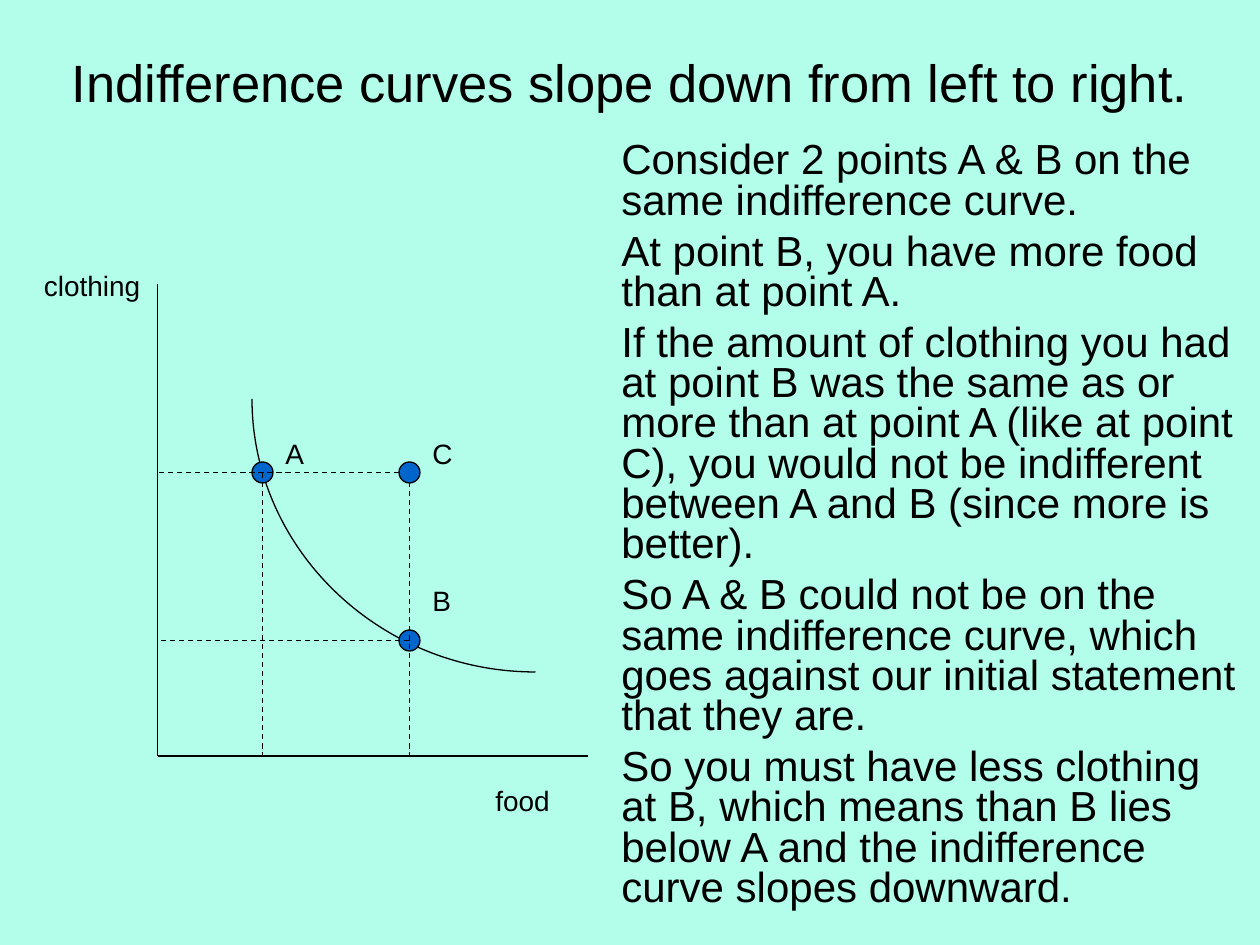
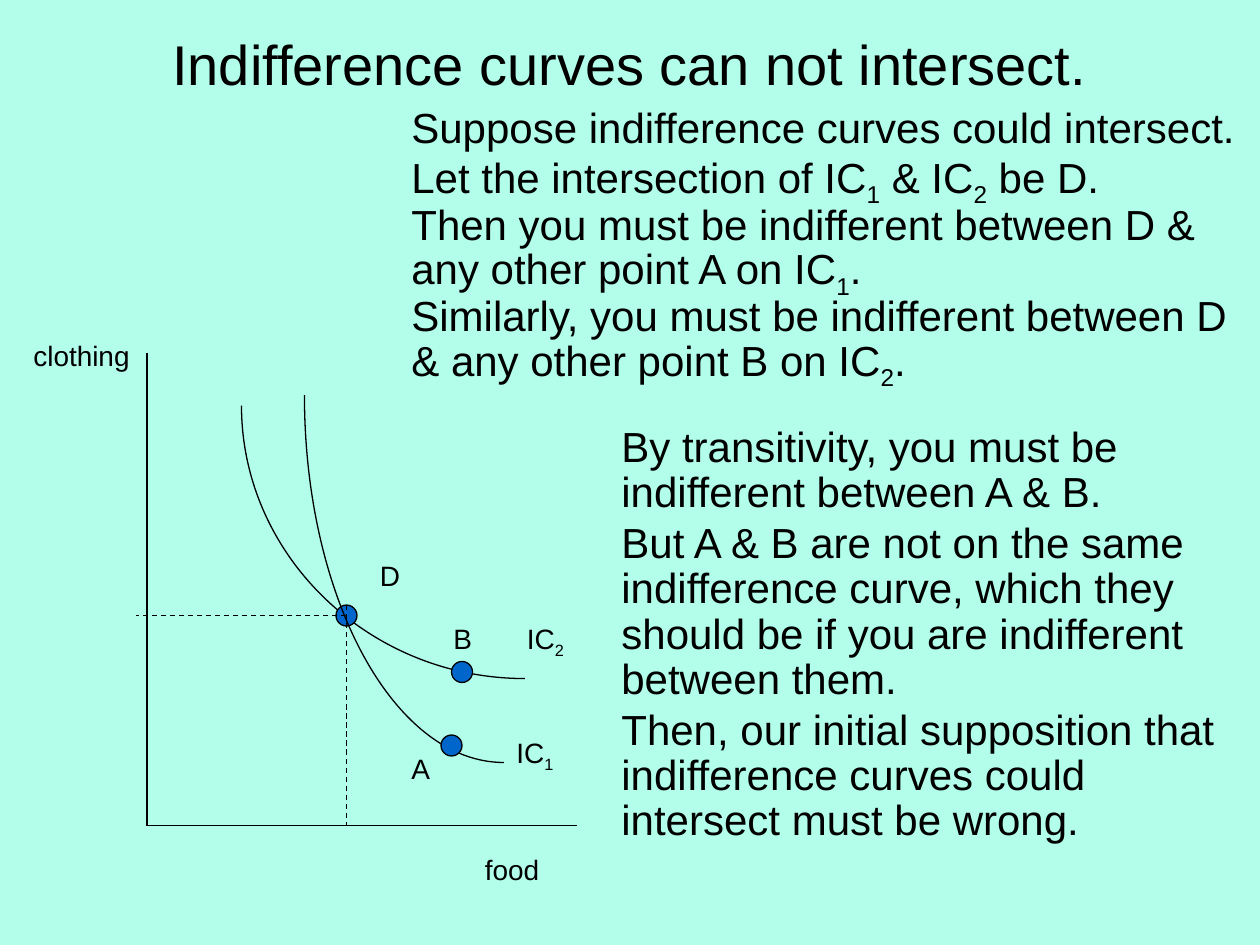
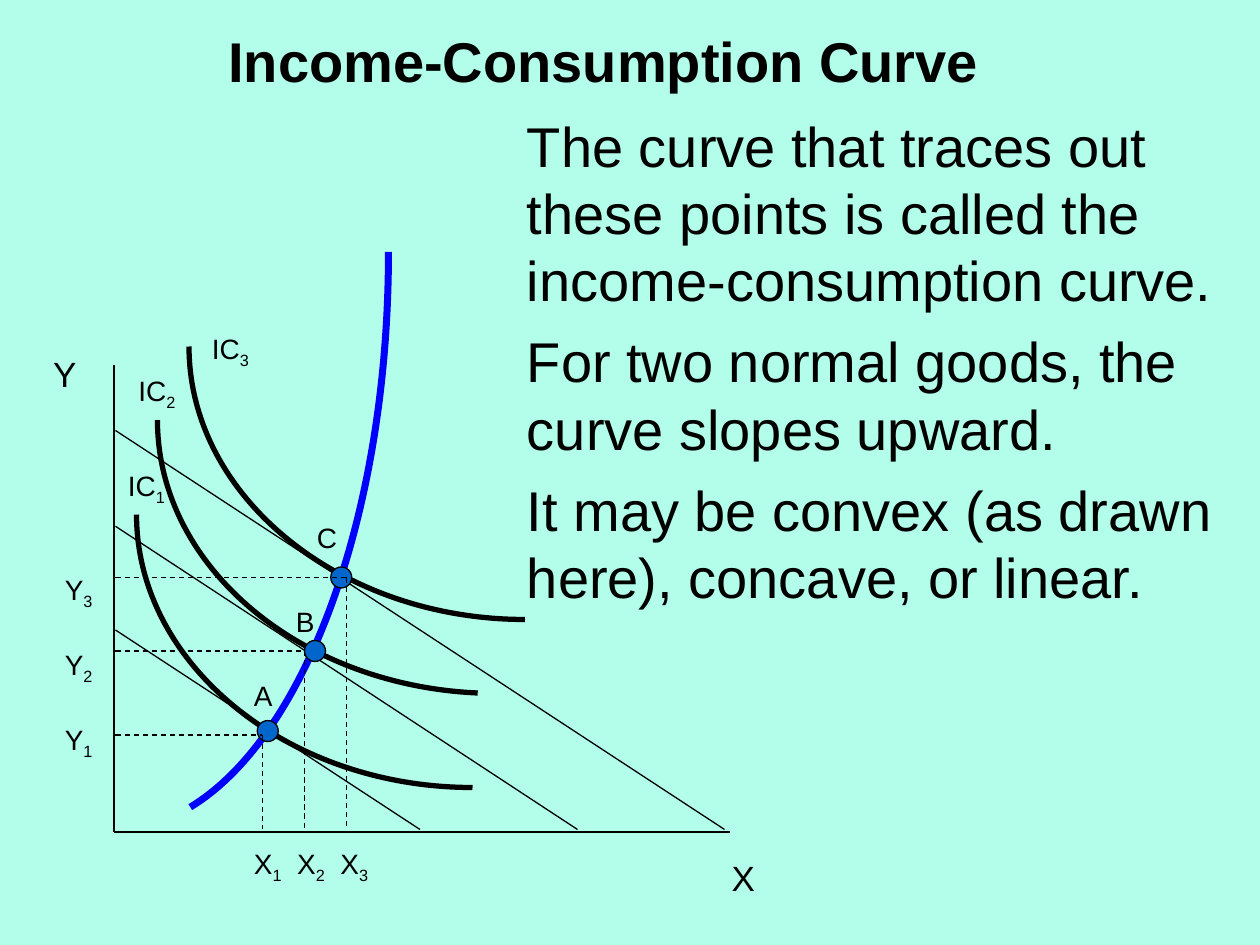
from dataclasses import dataclass
from typing import NamedTuple

from lxml.etree import SubElement
from pptx import Presentation
from pptx.dml.color import RGBColor
from pptx.enum.dml import MSO_LINE
from pptx.enum.shapes import MSO_CONNECTOR, MSO_SHAPE
from pptx.enum.text import MSO_ANCHOR, PP_ALIGN
from pptx.oxml.ns import qn
from pptx.util import Emu, Pt

PX = 9525  # EMU in one px, 96 px to the inch


@dataclass(frozen=True)
class Theme:
    back: str = "B2FEEA"
    ink: str = "000000"
    dot: str = "0066CC"
    trace: str = "0000FF"
    font: str = "Arial"
    head: int = 32
    body: int = 24
    axis: int = 20
    label: int = 16
    thin: float = 0.75
    bold: float = 3
    heavy: float = 4


THEME = Theme()


# Parts of a slide
class Point(NamedTuple):
    x: int
    y: int


class Box(NamedTuple):
    left: int
    top: int
    wide: int
    high: int


@dataclass(frozen=True)
class Text:
    """Paragraphs, where _ lowers the sign that follows it."""
    box: Box
    lines: tuple[str, ...]
    size: int = THEME.body
    space: float = 1.0
    gap: int = 0
    title: bool = False
    bold: bool = False
    tabs: tuple[int, ...] = ()


@dataclass(frozen=True)
class Line:
    start: Point
    end: Point
    dash: bool = False


@dataclass(frozen=True)
class Curve:
    start: Point
    pull: Point
    push: Point
    end: Point
    width: float = THEME.thin
    tint: str = THEME.ink


@dataclass(frozen=True)
class Dot:
    mid: Point
    size: int = 16


Part = Text | Line | Curve | Dot


# Short ways to make parts
def title(box: Box, text: str, size: int = THEME.head, bold: bool = False) -> Text:
    return Text(box, (text,), size, title=True, bold=bold)


def label(left: int, top: int, text: str, wide: int = 56, size: int = THEME.label) -> Text:
    high = 42 if size == THEME.axis else 39 if "_" in text else 36
    return Text(Box(left, top, wide, high), (text,), size)


def axes(left: int, top: int, right: int, base: int) -> list[Part]:
    root = Point(left, base)
    return [Line(Point(left, top), root), Line(root, Point(right, base))]


def guides(mid: Point, left: int, base: int) -> list[Part]:
    return [Line(Point(left, mid.y), mid, True), Line(mid, Point(mid.x, base), True)]


def bowl(left: int, top: int, right: int, base: int, width: float = THEME.thin) -> Curve:
    """Lower left quarter of an ellipse."""
    bend = 0.55
    pull = Point(round(right - bend * (right - left)), base)
    push = Point(left, round(top + bend * (base - top)))
    return Curve(Point(right, base), pull, push, Point(left, top), width)


# Drawing
def color(code: str) -> RGBColor:
    return RGBColor.from_string(code)


def draw_text(slide, part: Text) -> None:
    frame = slide.shapes.add_textbox(*(Emu(n * PX) for n in part.box)).text_frame
    frame.word_wrap = True
    if part.title:
        frame.vertical_anchor = MSO_ANCHOR.MIDDLE
    for i, line in enumerate(part.lines):
        par = frame.add_paragraph() if i else frame.paragraphs[0]
        par.alignment = PP_ALIGN.CENTER if part.title else PP_ALIGN.LEFT
        par.line_spacing = part.space
        par.space_before = Pt(part.gap if i else 0)
        if part.tabs:
            stops = SubElement(par._p.get_or_add_pPr(), qn("a:tabLst"))
            for stop in part.tabs:
                SubElement(stops, qn("a:tab"), pos=str(stop * PX), algn="l")
        fill_par(par, line)
        for run in par.runs:
            font = run.font
            font.name, font.size, font.bold = THEME.font, Pt(part.size), part.bold
            font.color.rgb = color(THEME.ink)


def fill_par(par, line: str) -> None:
    first, *rest = line.split("_")
    par.text = first
    for piece in rest:
        low = par.add_run()
        low.text = piece[0]
        low.font._element.set("baseline", "-25000")
        if piece[1:]:
            par.add_run().text = piece[1:]


def draw_line(slide, part: Line) -> None:
    ends = (Emu(n * PX) for n in (*part.start, *part.end))
    shape = slide.shapes.add_connector(MSO_CONNECTOR.STRAIGHT, *ends)
    SubElement(shape._element.spPr, qn("a:effectLst"))
    shape.line.color.rgb = color(THEME.ink)
    shape.line.width = Pt(THEME.thin)
    if part.dash:
        shape.line.dash_style = MSO_LINE.DASH


def draw_curve(slide, part: Curve) -> None:
    build = slide.shapes.build_freeform(*part.start, scale=float(PX))
    build.add_line_segments((part.pull, part.push, part.end), close=False)
    shape = build.convert_to_shape()
    # Turn the three legs into one Bezier segment
    route = next(shape._element.iter(qn("a:path")))
    legs = route.findall(qn("a:lnTo"))
    bend = SubElement(route, qn("a:cubicBezTo"))
    for leg in legs:
        bend.append(leg[0])
        route.remove(leg)
    shape.shadow.inherit = False
    shape.fill.background()
    shape.line.color.rgb = color(part.tint)
    shape.line.width = Pt(part.width)


def draw_dot(slide, part: Dot) -> None:
    half = part.size // 2
    box = (part.mid.x - half, part.mid.y - half, part.size, part.size)
    shape = slide.shapes.add_shape(MSO_SHAPE.OVAL, *(Emu(n * PX) for n in box))
    shape.shadow.inherit = False
    shape.fill.solid()
    shape.fill.fore_color.rgb = color(THEME.dot)
    shape.line.color.rgb = color(THEME.ink)
    shape.line.width = Pt(THEME.thin)


DRAW = {Text: draw_text, Line: draw_line, Curve: draw_curve, Dot: draw_dot}


# Slide 1: downward slope
def slope() -> list[Part]:
    a, b, c = Point(200, 360), Point(312, 488), Point(312, 360)
    return [
        title(Box(16, 28, 928, 68), "Indifference curves slope down from left to right.", 30),
        Text(Box(464, 104, 488, 600), (
            "Consider 2 points A & B on the same indifference curve.",
            "At point B, you have more food than at point A.",
            "If the amount of clothing you had at point B was the same as or more than "
            "at point A (like at point C), you would not be indifferent between A and B "
            "(since more is better).",
            "So A & B could not be on the same indifference curve, which goes against "
            "our initial statement that they are.",
            "So you must have less clothing at B, which means than B lies below A and "
            "the indifference curve slopes downward.",
        ), space=0.8, gap=6),
        label(24, 200, "clothing", 176),
        *axes(120, 216, 448, 576),
        bowl(192, 304, 408, 512),
        Dot(a), Dot(b),
        Line(Point(304, c.y), Point(120, c.y), True),
        Line(b, Point(120, b.y), True),
        Line(a, Point(a.x, 576), True),
        Line(c, Point(c.x, 576), True),
        label(368, 592, "food", 64),
        label(208, 328, "A"), label(320, 440, "B"),
        Dot(c),
        label(320, 328, "C"),
    ]


# Slide 2: no crossing
def cross() -> list[Part]:
    d = Point(264, 469)
    return [
        title(Box(48, 16, 864, 64), "Indifference curves can not intersect."),
        Text(Box(304, 80, 656, 240), (
            "Suppose indifference curves could intersect.",
            "Let the intersection of IC_1 & IC_2 be D.",
            "Then you must be indifferent between D & any other point A on IC_1.",
            "Similarly, you must be indifferent between D & any other point B on IC_2.",
        ), space=0.8, gap=3),
        *axes(112, 269, 440, 629),
        label(360, 645, "food", 64),
        label(304, 568, "A"), label(280, 421, "D"),
        bowl(184, 309, 400, 517),
        Dot(d),
        label(16, 253, "clothing", 176),
        label(384, 556, "IC_1", 72),
        Line(Point(d.x, 461), Point(d.x, 629), True),
        Line(d, Point(104, d.y), True),
        bowl(232, 301, 384, 581),
        label(336, 469, "B"), label(392, 469, "IC_2", 72),
        Text(Box(464, 320, 496, 328), (
            "By transitivity, you must be indifferent between A & B.",
            "But A & B are not on the same indifference curve, which they should be "
            "if you are indifferent between them.",
            "Then, our initial supposition that indifference curves could intersect "
            "must be wrong.",
        ), space=0.9, gap=3),
        Dot(Point(344, 568)), Dot(Point(352, 512)),
    ]


# Slide 3: income and demand
def income() -> list[Part]:
    left, base = 88, 632
    spans = ((401, 440), (480, 320), (328, 552))
    dots = (Point(260, 440), Point(240, 496), Point(204, 557))
    feet = (Point(200, 560), Point(264, 440), Point(232, 496))
    return [
        title(Box(144, 16, 632, 60), "Income-Consumption Curve", bold=True),
        Text(Box(392, 80, 544, 448), (
            "The curve that traces out these points is called the "
            "income-consumption curve.",
            "For two normal goods, the curve slopes upward.",
            "It may be convex (as drawn here), concave, or linear.",
        ), THEME.head, gap=8),
        *axes(87, 278, 556, 634),
        label(548, 648, "X", 36, THEME.axis), label(31, 264, "Y", 36, THEME.axis),
        *(Line(Point(left, top), Point(right, base)) for top, right in spans),
        Curve(Point(364, 528), Point(228, 522), Point(120, 431), Point(120, 320), THEME.bold),
        bowl(104, 392, 360, 600, THEME.bold),
        bowl(144, 264, 400, 472, THEME.bold),
        label(88, 352, "IC_1", 64), label(96, 280, "IC_2", 64), label(152, 248, "IC_3", 64),
        label(232, 392, "C", 40), label(216, 456, "B", 40), label(184, 512, "A", 40),
        Curve(Point(145, 615), Point(234, 561), Point(296, 389), Point(296, 192),
              THEME.heavy, THEME.trace),
        *map(Dot, dots),
        *(line for foot in feet for line in guides(foot, left, base)),
        Text(Box(40, 417, 48, 167), ("Y_3", "Y_2", "Y_1"), THEME.label, space=1.5, gap=10),
        Text(Box(184, 640, 112, 39), ("X_1\tX_2\tX_3",), THEME.label, tabs=(33, 66)),
    ]


def main() -> None:
    deck = Presentation()
    deck.slide_width, deck.slide_height = Emu(960 * PX), Emu(720 * PX)
    for parts in (slope(), cross(), income()):
        slide = deck.slides.add_slide(deck.slide_layouts[6])
        slide.background.fill.solid()
        slide.background.fill.fore_color.rgb = color(THEME.back)
        for part in parts:
            DRAW[type(part)](slide, part)
    deck.save("out.pptx")


if __name__ == "__main__":
    main()
